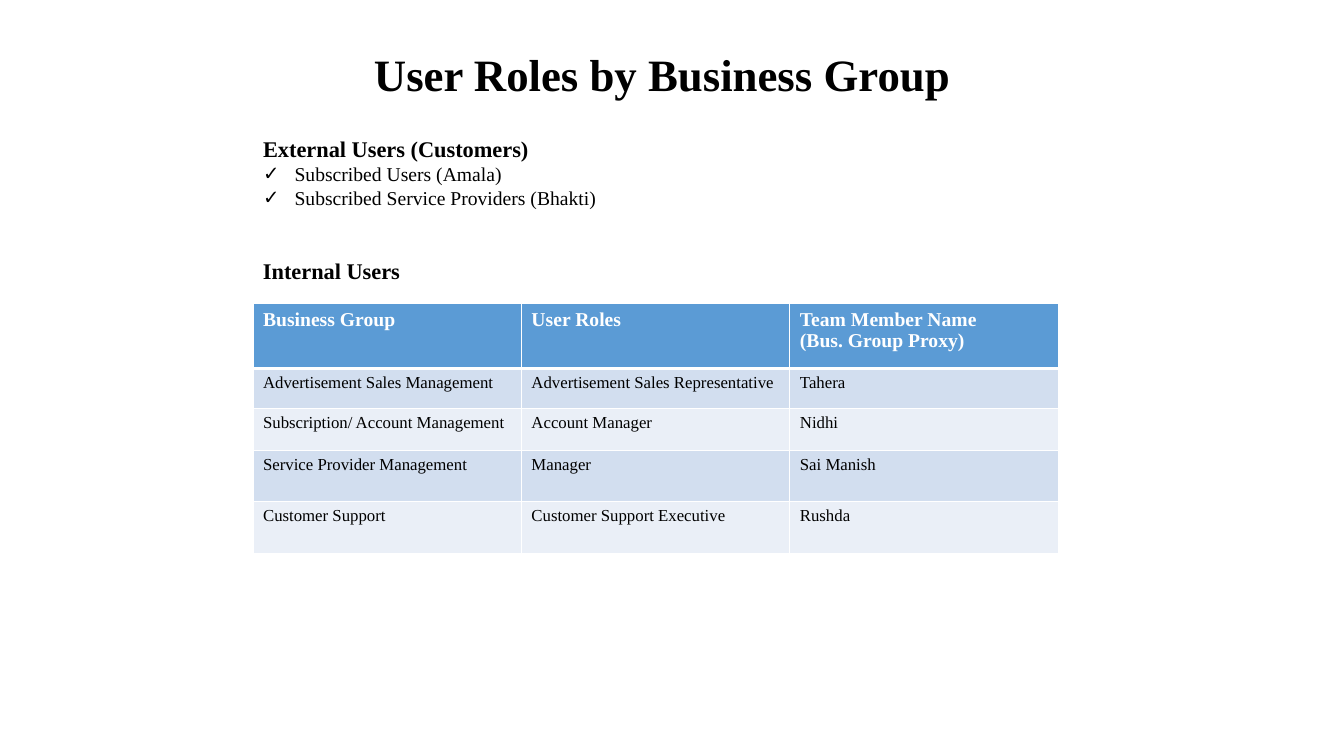
from dataclasses import dataclass

from lxml.etree import SubElement
from pptx import Presentation
from pptx.dml.color import RGBColor
from pptx.enum.text import MSO_ANCHOR, MSO_AUTO_SIZE, PP_ALIGN
from pptx.oxml.ns import qn
from pptx.util import Pt

BLACK, WHITE, HEADER_BLUE = "000000", "FFFFFF", "5B9BD5"
BANDS = ("D2DEEF", "EAEFF7")
LEFT = 180.72
COLUMN_WIDTH = 191.76


@dataclass
class Line:
    """One paragraph of text."""
    text: str
    size: float
    bold: bool = False
    color: str = BLACK
    check: bool = False
    align: PP_ALIGN = PP_ALIGN.LEFT


@dataclass
class Row:
    """One table row: its height in points and its cell texts."""
    height: float
    texts: tuple[str, ...]


ROWS = (
    Row(46.4, ("Business Group", "User Roles", "Team Member Name\n(Bus. Group Proxy)")),
    Row(28.6, ("Advertisement Sales Management", "Advertisement Sales Representative", "Tahera")),
    Row(30, ("Subscription/ Account Management", "Account Manager", "Nidhi")),
    Row(36.6, ("Service Provider Management", "Manager", "Sai Manish")),
    Row(37, ("Customer Support", "Customer Support Executive", "Rushda")),
)


def rgb(color: str) -> RGBColor:
    """Turn a hex string into a colour."""
    return RGBColor.from_string(color)


def write(frame, lines: list[Line]) -> None:
    """Fill a text frame with formatted paragraphs."""
    frame.text = "\n".join(line.text for line in lines)
    for paragraph, line in zip(frame.paragraphs, lines):
        paragraph.alignment = line.align
        paragraph.space_before = Pt(0)
        font = paragraph.runs[0].font
        formats = {"name": "Times New Roman", "size": Pt(line.size), "bold": line.bold}
        for attribute, value in formats.items():
            setattr(font, attribute, value)
        font.color.rgb = rgb(line.color)
        properties = paragraph._p.get_or_add_pPr()
        indent = Pt(22.5) if line.check else 0
        properties.set("marL", str(indent))
        properties.set("indent", str(-indent))
        if line.check:
            SubElement(properties, qn("a:buChar"), char="✓")
        else:
            SubElement(properties, qn("a:buNone"))


def place(shape, left: float, top: float, width: float, height: float, lines: list[Line]) -> None:
    """Position a text shape and write its lines."""
    box = {"left": left, "top": top, "width": width, "height": height}
    for attribute, value in box.items():
        setattr(shape, attribute, Pt(value))
    frame = shape.text_frame
    settings = {"word_wrap": True, "auto_size": MSO_AUTO_SIZE.NONE, "vertical_anchor": MSO_ANCHOR.TOP}
    for attribute, value in settings.items():
        setattr(frame, attribute, value)
    write(frame, lines)


def add_borders(cell, top: float, bottom: float) -> None:
    """Give a cell white borders, with its own top and bottom widths."""
    properties = cell._tc.get_or_add_tcPr()
    for side, width in {"L": 1, "R": 1, "T": top, "B": bottom}.items():
        border = SubElement(properties, qn(f"a:ln{side}"), w=str(Pt(width)))
        fill = SubElement(border, qn("a:solidFill"))
        SubElement(fill, qn("a:srgbClr"), val=WHITE)


def add_roles_table(slide, top: float) -> None:
    """Draw the table of internal users."""
    columns = len(ROWS[0].texts)
    height = sum(row.height for row in ROWS)
    table = slide.shapes.add_table(
        len(ROWS), columns, Pt(LEFT), Pt(top), Pt(columns * COLUMN_WIDTH), Pt(height)
    ).table
    for index, row in enumerate(ROWS):
        header = index == 0
        table.rows[index].height = Pt(row.height)
        for cell, text in zip(table.rows[index].cells, row.texts):
            add_borders(cell, top=3 if index == 1 else 1, bottom=3 if header else 1)
            cell.fill.solid()
            cell.fill.fore_color.rgb = rgb(HEADER_BLUE if header else BANDS[(index - 1) % 2])
            size, color = (14, WHITE) if header else (12, BLACK)
            write(cell.text_frame, [Line(part, size, header, color) for part in text.split("\n")])


presentation = Presentation()
presentation.slide_width, presentation.slide_height = Pt(960), Pt(540)
slide = presentation.slides.add_slide(presentation.slide_layouts[1])
title, external_users = slide.placeholders
place(title, 108.72, 29.5, 728.64, 46,
      [Line("User Roles by Business Group", 32, True, align=PP_ALIGN.CENTER)])
place(external_users, LEFT, 92.9, 260, 60.5, [
    Line("External Users (Customers)", 16, True),
    Line("Subscribed Users (Amala)", 14, check=True),
    Line("Subscribed Service Providers (Bhakti)", 14, check=True),
])
internal_users = slide.shapes.add_textbox(0, 0, 0, 0)
place(internal_users, LEFT, 180, 120, 26.6, [Line("Internal Users", 16, True)])
add_roles_table(slide, top=216.9)
presentation.save("out.pptx")
